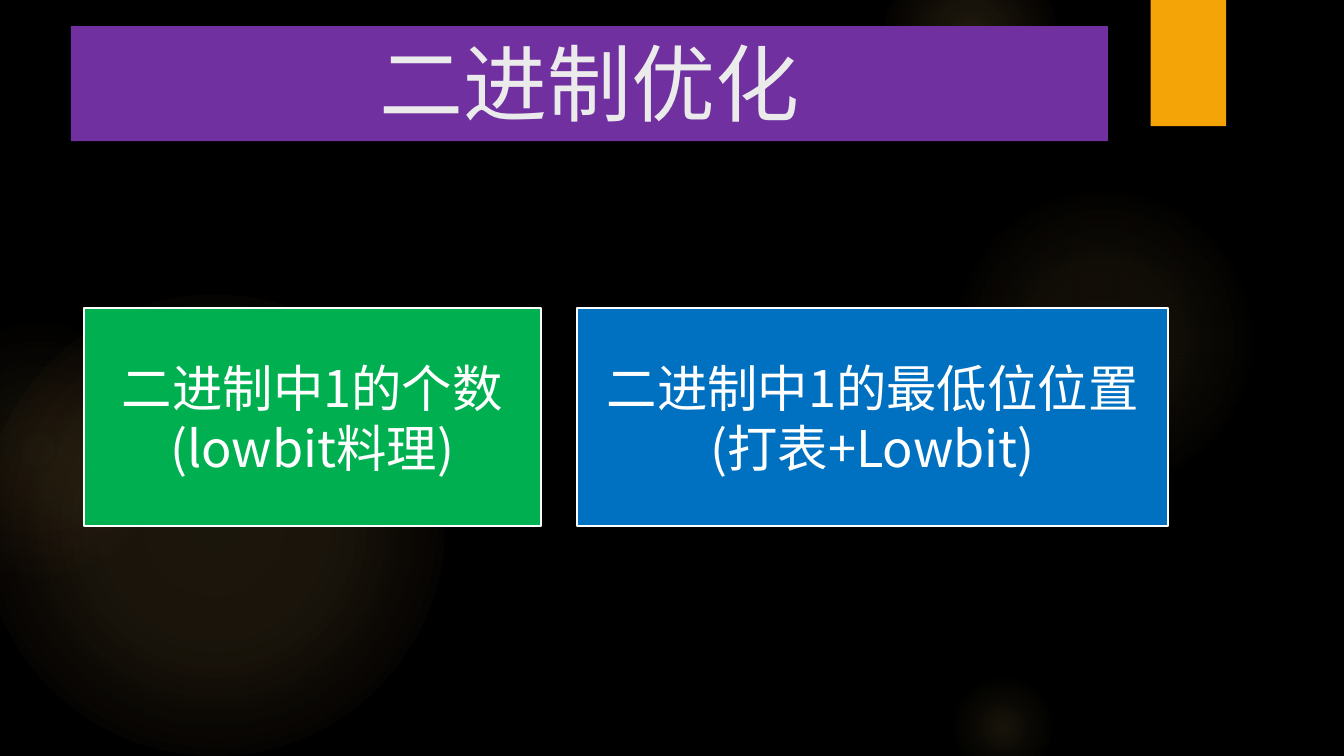
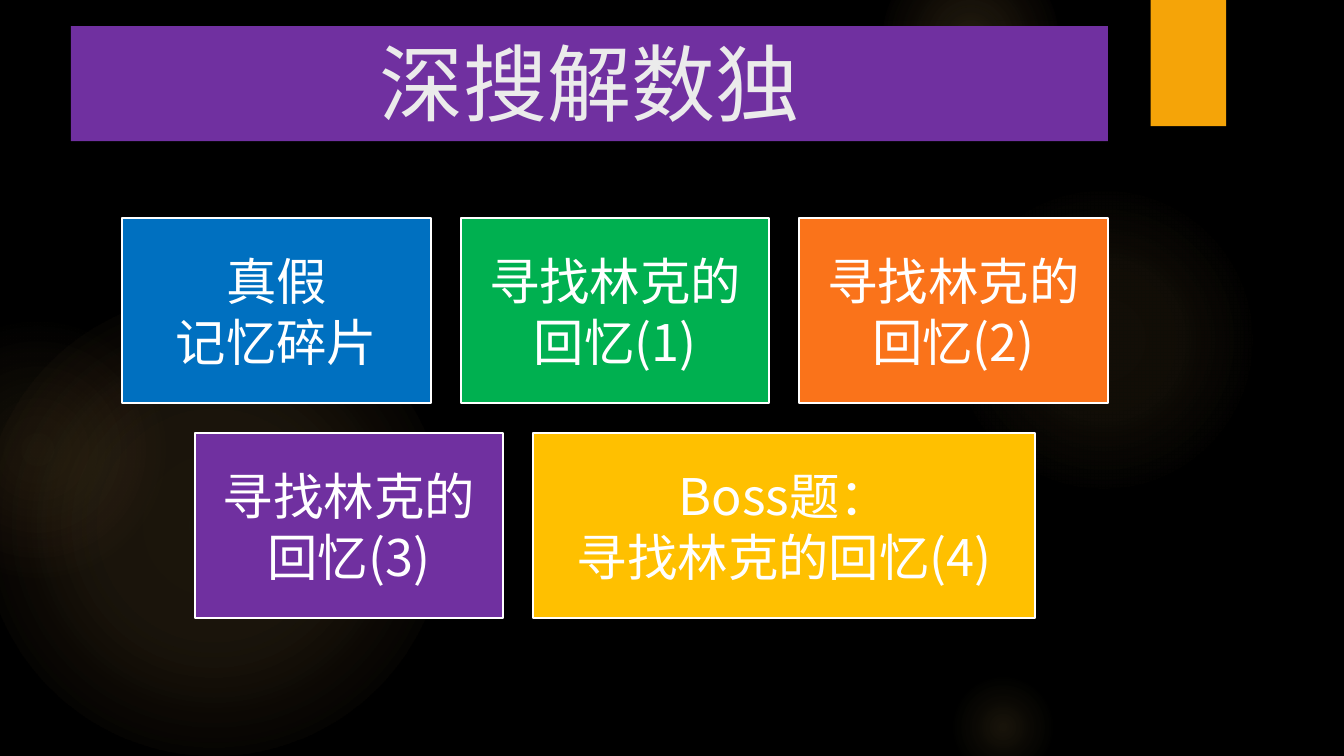
"""Build two topic slides that share a glowing dark backdrop and a title band."""
from dataclasses import dataclass

from lxml import etree
from pptx import Presentation
from pptx.dml.color import RGBColor
from pptx.enum.shapes import MSO_SHAPE
from pptx.enum.text import MSO_ANCHOR, PP_ALIGN
from pptx.oxml.ns import qn
from pptx.shapes.autoshape import Shape
from pptx.slide import Slide, SlideLayout
from pptx.util import Cm, Pt

RECTANGLE = MSO_SHAPE.RECTANGLE
OVAL = MSO_SHAPE.OVAL
CENTER = PP_ALIGN.CENTER
MIDDLE = MSO_ANCHOR.MIDDLE

BLACK = RGBColor(0x00, 0x00, 0x00)
WHITE = RGBColor(0xFF, 0xFF, 0xFF)
TITLE_GRAY = RGBColor(0xEB, 0xEB, 0xEB)
AMBER = RGBColor(0xF5, 0xA4, 0x08)
GLOW_GOLD = RGBColor(0xFA, 0xC9, 0x6A)
GLOW_PEACH = RGBColor(0xF5, 0x9B, 0x74)
PURPLE = RGBColor(0x70, 0x30, 0xA0)
GREEN = RGBColor(0x00, 0xB0, 0x50)
BLUE = RGBColor(0x00, 0x70, 0xC0)
ORANGE = RGBColor(0xFA, 0x73, 0x1A)
YELLOW = RGBColor(0xFF, 0xC0, 0x00)

TITLE_FONT = "TeX Gyre Adventor"
BODY_FONT = "Noto Sans CJK SC"
CARD_INSET = 0.38
BACKDROP_FIRST_ID = 101


@dataclass(frozen=True)
class Glow:
    left: float
    top: float
    diameter: float
    stops: tuple[tuple[int, int], ...]
    edge_color: RGBColor = GLOW_GOLD


@dataclass(frozen=True)
class Card:
    text: str
    color: RGBColor
    width: float = 7.77


@dataclass(frozen=True)
class CardRow:
    center: float
    top: float
    height: float
    gap: float
    cards: tuple[Card, ...]


@dataclass(frozen=True)
class Topic:
    title: str
    rows: tuple[CardRow, ...]


GLOWS = (
    Glow(-0.43, 7.42, 11.63, ((0, 11), (36, 10), (75, 0))),
    Glow(-2.34, 8.05, 6.55, ((0, 8), (36, 5), (71, 0)), GLOW_PEACH),
    Glow(23.9, 4.65, 7.82, ((0, 7), (36, 6), (69, 0))),
    Glow(22.23, -1.27, 4.45, ((0, 14), (36, 7), (73, 0))),
    Glow(23.9, 16.94, 2.74, ((0, 10), (31, 5), (66, 0))),
)

SUDOKU_CENTER = 15.5
SUDOKU_TOP = 5.5
SUDOKU_HEIGHT = 4.66
SUDOKU_GAP = 0.76

TOPICS = (
    Topic("二进制优化", (
        CardRow(15.78, 7.77, 5.49, 0.91, (
            Card("二进制中1的个数(lowbit料理)", GREEN, 11.51),
            Card("二进制中1的最低位位置\v(打表+Lowbit)", BLUE, 14.91),
        )),
    )),
    Topic("深搜解数独", (
        CardRow(SUDOKU_CENTER, SUDOKU_TOP, SUDOKU_HEIGHT, SUDOKU_GAP, (
            Card("真假\v记忆碎片", BLUE),
            Card("寻找林克的回忆(1)", GREEN),
            Card("寻找林克的回忆(2)", ORANGE),
        )),
        CardRow(SUDOKU_CENTER, SUDOKU_TOP + SUDOKU_HEIGHT + SUDOKU_GAP, SUDOKU_HEIGHT, SUDOKU_GAP, (
            Card("寻找林克的回忆(3)", PURPLE),
            Card("Boss题：\n寻找林克的回忆(4)", YELLOW, 12.65),
        )),
    )),
)


def add_block(slide: Slide, kind: MSO_SHAPE, left: float, top: float,
              width: float, height: float, color: RGBColor) -> Shape:
    shape = slide.shapes.add_shape(kind, Cm(left), Cm(top), Cm(width), Cm(height))
    shape.shadow.inherit = False
    shape.fill.solid()
    shape.fill.fore_color.rgb = color
    shape.line.fill.background()
    return shape


def set_text(shape: Shape, text: str, font_name: str, size: float, color: RGBColor) -> None:
    text_frame = shape.text_frame
    text_frame.word_wrap = True
    text_frame.vertical_anchor = MIDDLE
    text_frame.text = text
    for paragraph in text_frame.paragraphs:
        paragraph.alignment = CENTER
        for run in paragraph.runs:
            run.font.size = Pt(size)
            run.font.color.rgb = color
            run.font.name = font_name
            properties = run.font._element
            properties.find(qn("a:latin")).addnext(
                etree.Element(qn("a:ea"), typeface=BODY_FONT))


def add_glow(slide: Slide, glow: Glow) -> None:
    shape = add_block(slide, OVAL, glow.left, glow.top, glow.diameter, glow.diameter, GLOW_GOLD)
    gradient = etree.Element(qn("a:gradFill"), rotWithShape="1")
    stop_list = etree.SubElement(gradient, qn("a:gsLst"))
    for position, opacity in glow.stops:
        stop = etree.SubElement(stop_list, qn("a:gs"), pos=str(position * 1000))
        stop_color = GLOW_GOLD if opacity else glow.edge_color
        color = etree.SubElement(stop, qn("a:srgbClr"), val=str(stop_color))
        etree.SubElement(color, qn("a:alpha"), val=str(opacity * 1000))
    circle = etree.SubElement(gradient, qn("a:path"), {"path": "circle"})
    etree.SubElement(circle, qn("a:fillToRect"), dict.fromkeys("ltrb", "50000"))
    properties = shape.element.spPr
    properties.replace(properties.find(qn("a:solidFill")), gradient)


def move_backdrop_to_layout(slide: Slide, layout: SlideLayout) -> None:
    for shape_id, shape in enumerate(list(slide.shapes), BACKDROP_FIRST_ID):
        shape.element.nvSpPr.cNvPr.set("id", str(shape_id))
        layout.shapes.element.append(shape.element)


def add_backdrop(slide: Slide, layout: SlideLayout) -> None:
    for glow in GLOWS:
        add_glow(slide, glow)
    add_block(slide, RECTANGLE, 29, 0, 1.9, 3.18, AMBER)
    move_backdrop_to_layout(slide, layout)


def add_card_row(slide: Slide, row: CardRow) -> None:
    total_width = sum(card.width for card in row.cards) + row.gap * (len(row.cards) - 1)
    left = row.center - total_width / 2
    for card in row.cards:
        shape = add_block(slide, RECTANGLE, left, row.top, card.width, row.height, card.color)
        shape.line.color.rgb = WHITE
        shape.line.width = Pt(1.5)
        text_frame = shape.text_frame
        text_frame.margin_left = text_frame.margin_right = Cm(CARD_INSET)
        text_frame.margin_top = text_frame.margin_bottom = Cm(CARD_INSET)
        set_text(shape, card.text, BODY_FONT, 36, WHITE)
        left += card.width + row.gap


def add_topic(slide: Slide, topic: Topic) -> None:
    title_band = add_block(slide, RECTANGLE, 1.79, 0.66, 26.13, 2.9, PURPLE)
    title_band.text_frame.margin_bottom = Cm(0.23)
    set_text(title_band, topic.title, TITLE_FONT, 60, TITLE_GRAY)
    for row in topic.rows:
        add_card_row(slide, row)


def main() -> None:
    presentation = Presentation()
    presentation.slide_width = Cm(33.87)
    presentation.slide_height = Cm(19.05)
    background = presentation.slide_master.background.fill
    background.solid()
    background.fore_color.rgb = BLACK
    blank_layout = presentation.slide_layouts[6]
    slides = [presentation.slides.add_slide(blank_layout) for _ in TOPICS]
    add_backdrop(slides[0], blank_layout)
    for slide, topic in zip(slides, TOPICS):
        add_topic(slide, topic)
    presentation.save("out.pptx")


if __name__ == "__main__":
    main()
